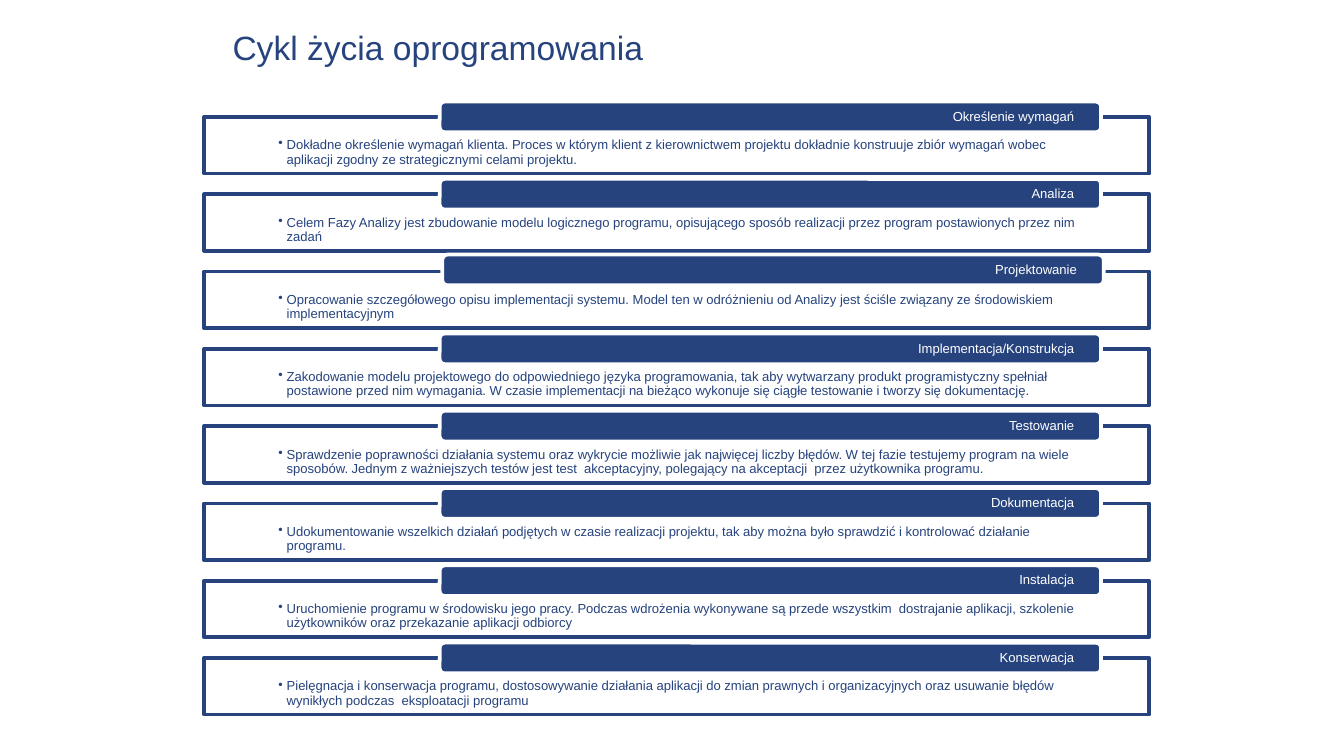
from dataclasses import dataclass

from lxml import etree
from pptx import Presentation
from pptx.dml.color import RGBColor
from pptx.enum.shapes import MSO_SHAPE
from pptx.enum.text import MSO_ANCHOR, PP_ALIGN
from pptx.oxml.ns import qn
from pptx.util import Cm, Pt

RECTANGLE = MSO_SHAPE.RECTANGLE
ROUNDED = MSO_SHAPE.ROUNDED_RECTANGLE
TOP, MIDDLE = MSO_ANCHOR.TOP, MSO_ANCHOR.MIDDLE
LEFT, RIGHT = PP_ALIGN.LEFT, PP_ALIGN.RIGHT

COLORS = {"navy": "26437E", "white": "FFFFFF"}
FONT = "Arial"
FIRST_TOP = 2.21
PITCH = 1.46
LABEL_RISE = 0.29


@dataclass
class Phase:
    name: str
    description: str
    label_dx: float = 0
    label_dy: float = 0


PHASES = [
    Phase("Określenie wymagań",
          "Dokładne określenie wymagań klienta. Proces w którym klient z kierownictwem projektu "
          "dokładnie konstruuje zbiór wymagań wobec aplikacji zgodny ze strategicznymi celami projektu."),
    Phase("Analiza",
          "Celem Fazy Analizy jest zbudowanie modelu logicznego programu, opisującego sposób "
          "realizacji przez program postawionych przez nim zadań"),
    Phase("Projektowanie",
          "Opracowanie szczegółowego opisu implementacji systemu. Model ten w odróżnieniu od Analizy "
          "jest ściśle związany ze środowiskiem implementacyjnym", 0.05, -0.03),
    Phase("Implementacja/Konstrukcja",
          "Zakodowanie modelu projektowego do odpowiedniego języka programowania, tak aby wytwarzany "
          "produkt programistyczny spełniał postawione przed nim wymagania. W czasie implementacji "
          "na bieżąco wykonuje się ciągłe testowanie i tworzy się dokumentację."),
    Phase("Testowanie",
          "Sprawdzenie poprawności działania systemu oraz wykrycie możliwie jak najwięcej liczby błędów. "
          "W tej fazie testujemy program na wiele sposobów. Jednym z ważniejszych testów jest test  "
          "akceptacyjny, polegający na akceptacji  przez użytkownika programu."),
    Phase("Dokumentacja",
          "Udokumentowanie wszelkich działań podjętych w czasie realizacji projektu, tak aby można "
          "było sprawdzić i kontrolować działanie programu."),
    Phase("Instalacja",
          "Uruchomienie programu w środowisku jego pracy. Podczas wdrożenia wykonywane są przede "
          "wszystkim  dostrajanie aplikacji, szkolenie użytkowników oraz przekazanie aplikacji odbiorcy"),
    Phase("Konserwacja",
          "Pielęgnacja i konserwacja programu, dostosowywanie działania aplikacji do zmian prawnych "
          "i organizacyjnych oraz usuwanie błędów wynikłych podczas  eksploatacji programu"),
]


def color(name: str) -> RGBColor:
    return RGBColor.from_string(COLORS[name])


def write(shape, text: str, size: float, ink: str, align, anchor, wrap: bool = True):
    frame = shape.text_frame
    frame.text = text
    frame.word_wrap = wrap
    frame.vertical_anchor = anchor
    paragraph = frame.paragraphs[0]
    paragraph.alignment = align
    font = paragraph.runs[0].font
    font.name, font.size = FONT, Pt(size)
    font.color.rgb = color(ink)
    return paragraph


def set_insets(shape, left: float, top: float, right: float, bottom: float) -> None:
    frame = shape.text_frame
    frame.margin_left, frame.margin_top = Cm(left), Cm(top)
    frame.margin_right, frame.margin_bottom = Cm(right), Cm(bottom)


def add_panel(slide, kind, left: float, top: float, width: float, height: float,
              fill: str, line: str):
    panel = slide.shapes.add_shape(kind, Cm(left), Cm(top), Cm(width), Cm(height))
    panel.shadow.inherit = False
    panel.fill.solid()
    panel.fill.fore_color.rgb = color(fill)
    panel.line.color.rgb = color(line)
    panel.line.width = Pt(2)
    return panel


def add_bullet(paragraph) -> None:
    paragraph.level = 1
    properties = paragraph._p.get_or_add_pPr()
    properties.set("marL", str(Cm(0.16)))
    properties.set("indent", str(-Cm(0.16)))
    etree.SubElement(properties, qn("a:buChar")).set("char", "•")


def add_phase(slide, phase: Phase, top: float) -> None:
    box = add_panel(slide, RECTANGLE, 3.86, top, 17.86, 1.07, "white", "navy")
    fill_color = box.fill._xPr.find(qn("a:solidFill"))[0]
    etree.SubElement(fill_color, qn("a:alpha")).set("val", "90000")
    set_insets(box, 1.4, 0.41, 1.4, 0.13)
    description = write(box, phase.description, 7, "navy", LEFT, TOP)
    add_bullet(description)
    description.line_spacing = 0.9

    label = add_panel(slide, ROUNDED, 8.31 + phase.label_dx, top - LABEL_RISE + phase.label_dy,
                      12.5, 0.58, "navy", "white")
    set_insets(label, 0.48, 0, 0.48, 0)
    write(label, phase.name, 7, "white", RIGHT, MIDDLE).line_spacing = 0.9


def main() -> None:
    presentation = Presentation()
    presentation.slide_width, presentation.slide_height = Cm(25.4), Cm(14.28)
    slide = presentation.slides.add_slide(presentation.slide_layouts[5])

    title = slide.shapes.title
    title.left, title.top, title.width, title.height = Cm(4.14), Cm(0.38), Cm(8.36), Cm(1.02)
    write(title, "Cykl życia oprogramowania", 18, "navy", LEFT, TOP, wrap=False)

    for index, phase in enumerate(PHASES):
        add_phase(slide, phase, FIRST_TOP + index * PITCH)

    presentation.save("out.pptx")


if __name__ == "__main__":
    main()
